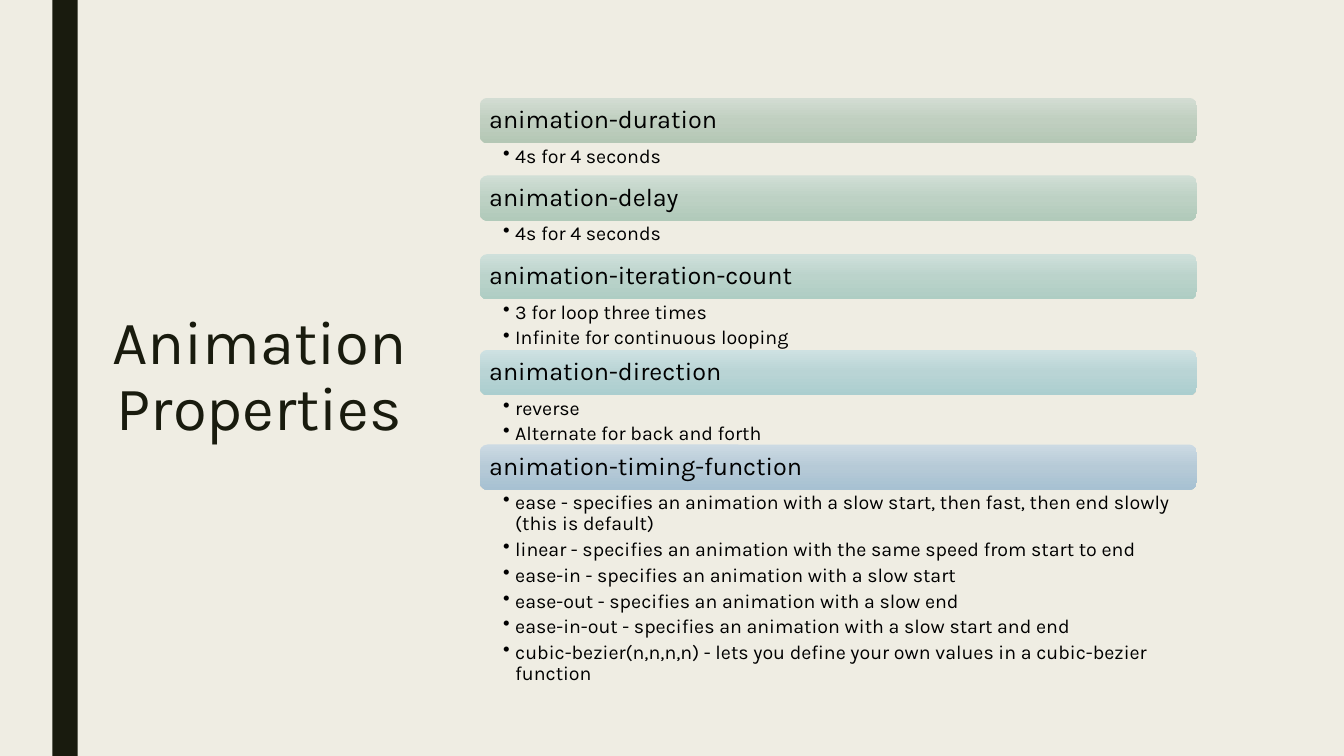
from copy import deepcopy

from lxml import etree
from pptx import Presentation
from pptx import util as u
from pptx.dml.color import RGBColor
from pptx.enum import shapes, text
from pptx.oxml import ns

TITLE = "Animation Properties"
PROPERTIES = [
    ("animation-duration", ("D3DDD3", "C0CFC0", "B4C7B5"), 0.32,
     ["4s for 4 seconds"]),
    ("animation-delay", ("D1DFD6", "BDD1C4", "B1CABA"), 0.33,
     ["4s for 4 seconds"]),
    ("animation-iteration-count", ("CFE0DB", "BBD3CB", "AECDC3"), 0.5,
     ["3 for loop three times", "Infinite for continuous looping"]),
    ("animation-direction", ("CEE1E2", "B9D4D5", "ABCECF"), 0.49,
     ["reverse", "Alternate for back and forth"]),
    ("animation-timing-function", ("CCDAE3", "B6CAD7", "A7C1D2"), 1.67,
     ["ease - specifies an animation with a slow start, then fast, then end slowly (this is default)",
      "linear - specifies an animation with the same speed from start to end",
      "ease-in - specifies an animation with a slow start",
      "ease-out - specifies an animation with a slow end",
      "ease-in-out - specifies an animation with a slow start and end",
      "cubic-bezier(n,n,n,n) - lets you define your own values in a cubic-bezier function"]),
]

FONT = "Karla"
CREAM = RGBColor(0xEF, 0xED, 0xE3)
DARK = RGBColor(0x19, 0x1B, 0x0E)
BLACK = RGBColor(0, 0, 0)
LIST_LEFT, LIST_TOP, LIST_WIDTH, BAR_HEIGHT = 4.76, 0.97, 7.11, 0.45
BULLET_INDENT = u.Inches(0.12)


def inches(*lengths):
    return [u.Inches(length) for length in lengths]


def set_all(target, values):
    for name, value in values.items():
        setattr(target, name, value)


def format_frame(frame, anchor, margins):
    sides = ("margin_left", "margin_top", "margin_right", "margin_bottom")
    set_all(frame, {"word_wrap": True, "auto_size": text.MSO_AUTO_SIZE.NONE,
                    "vertical_anchor": anchor, **dict(zip(sides, inches(*margins)))})


def write(para, words, size, color, spacing, align=text.PP_ALIGN.LEFT, after=0):
    set_all(para, {"alignment": align, "line_spacing": spacing,
                   "space_before": u.Pt(0), "space_after": u.Pt(after)})
    span = para.add_run()
    span.text = words
    set_all(span.font, {"name": FONT, "size": u.Pt(size)})
    span.font.color.rgb = color


def add_bullet(para):
    props = para._p.get_or_add_pPr()
    props.set("marL", str(BULLET_INDENT))
    props.set("indent", str(-BULLET_INDENT))
    etree.SubElement(props, ns.qn("a:buChar")).set("char", "•")


def fill_gradient(shape, colors):
    shape.fill.gradient()
    shape.fill.gradient_angle = 270
    first = shape.element.spPr.find(".//" + ns.qn("a:gs"))
    first.addnext(deepcopy(first))
    for index, (stop, color) in enumerate(zip(shape.fill.gradient_stops, colors)):
        stop.position = index / 2
        stop.color.rgb = RGBColor.from_string(color)


def add_plain_shape(page, kind, *place):
    shape = page.shapes.add_shape(kind, *inches(*place))
    shape.shadow.inherit = False
    shape.line.fill.background()
    return shape


def add_property(page, top, name, colors, body_height, points):
    bar = add_plain_shape(page, shapes.MSO_SHAPE.ROUNDED_RECTANGLE,
                          LIST_LEFT, top, LIST_WIDTH, BAR_HEIGHT)
    fill_gradient(bar, colors)
    format_frame(bar.text_frame, text.MSO_ANCHOR.MIDDLE, [0.07] * 4)
    write(bar.text_frame.paragraphs[0], name, 18, BLACK, 0.9)

    box = page.shapes.add_textbox(*inches(LIST_LEFT, top + BAR_HEIGHT, LIST_WIDTH, body_height))
    frame = box.text_frame
    format_frame(frame, text.MSO_ANCHOR.TOP, (0.23, 0.03, 0.14, 0.03))
    for index, point in enumerate(points):
        para = frame.add_paragraph() if index else frame.paragraphs[0]
        write(para, point, 14, BLACK, 0.9, after=3.2)
        add_bullet(para)


def main():
    deck = Presentation()
    deck.slide_width, deck.slide_height = inches(13.33, 7.5)
    page = deck.slides.add_slide(deck.slide_layouts[5])
    page.background.fill.solid()
    page.background.fill.fore_color.rgb = CREAM

    stripe = add_plain_shape(page, shapes.MSO_SHAPE.RECTANGLE, 0.52, 0, 0.25, 7.5)
    stripe.fill.solid()
    stripe.fill.fore_color.rgb = DARK

    title = page.shapes.title
    set_all(title, dict(zip(("left", "top", "width", "height"), inches(0.77, 0.7, 3.61, 6.1))))
    format_frame(title.text_frame, text.MSO_ANCHOR.MIDDLE, (0.1, 0.05, 0.1, 0.05))
    write(title.text_frame.paragraphs[0], TITLE, 44, DARK, 0.89, text.PP_ALIGN.CENTER)

    top = LIST_TOP
    for name, colors, body_height, points in PROPERTIES:
        add_property(page, top, name, colors, body_height, points)
        top += BAR_HEIGHT + body_height

    deck.save("out.pptx")


if __name__ == "__main__":
    main()
